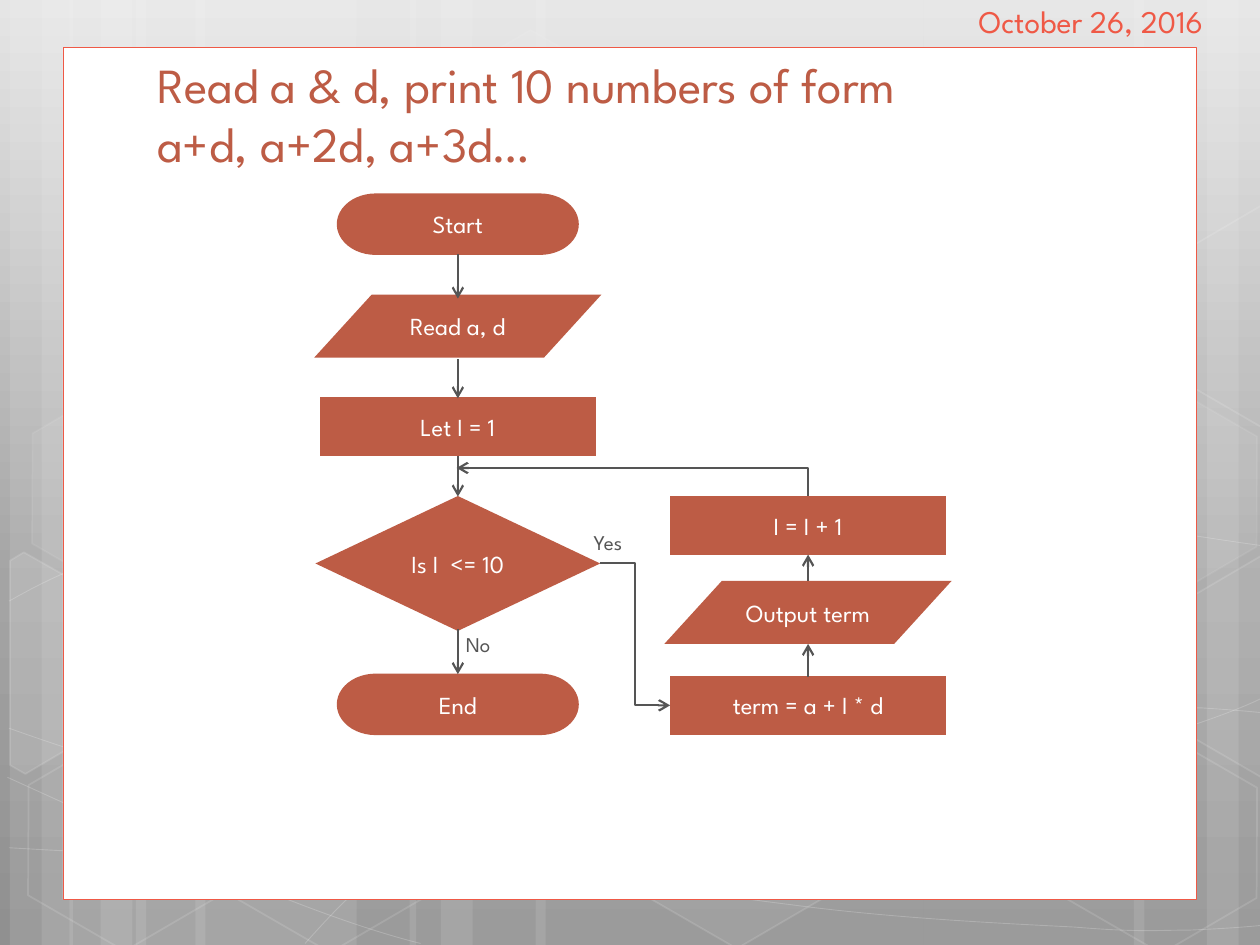
from copy import deepcopy
from dataclasses import dataclass
from math import cos, radians, sin

from lxml.etree import SubElement
from pptx import Presentation
from pptx.dml.color import RGBColor
from pptx.enum.shapes import MSO_CONNECTOR as Link, MSO_SHAPE as Kind
from pptx.enum.text import MSO_ANCHOR, PP_ALIGN
from pptx.oxml.ns import qn
from pptx.util import Cm, Pt

FONT = "League Spartan"
COLOR = {"white": "FFFFFF", "rust": "BD5C45", "red": "EF5946", "gray": "555555",
         "light": "E5E5E5", "mid": "A4A4A4", "dark": "909090"}
WIDE, HIGH = 25.4, 19.05
LEFT, RIGHT, TILT = 9.23, 16.29, 30
SIZE = {Kind.FLOWCHART_TERMINATOR: (4.88, 1.24), Kind.FLOWCHART_DECISION: (5.74, 2.72),
        Kind.FLOWCHART_DATA: (5.79, 1.27), Kind.FLOWCHART_PROCESS: (5.56, 1.19)}


@dataclass
class Node:
    text: str
    kind: Kind
    mid: float
    top: float


@dataclass
class Arrow:
    start: tuple
    end: tuple
    kind: Link = Link.STRAIGHT
    turn: int = 0


@dataclass
class Label:
    text: str
    box: tuple
    size: int
    color: str
    anchor: MSO_ANCHOR = MSO_ANCHOR.TOP


@dataclass
class Hex:
    left: float
    top: float
    fill: int
    line: int


@dataclass
class Part:
    points: list
    hub: tuple
    fill: int


BANDS = [(2.74, 4.45), (0.2, 1.27), (0.84, 2.11), (3.94, 4.45), (1.4, 1.27), (2.03, 2.11),
         (18.62, 4.45), (24.33, 1.27), (22.86, 2.11), (10.8, 7.82), (8.26, 1.27), (8.89, 2.11)]
CURVES = [
    [(0.18, 17.09), (1.55, 17.17), (2.92, 17.25), (4.83, 17.22), (6.73, 17.2), (9.09, 17.15),
     (11.63, 16.89), (14.17, 16.64), (17.78, 16.15), (20.12, 15.67), (22.43, 15.19),
     (24.82, 14.43), (25.58, 14)],
    [(0.18, 12.12), (0.91, 11.71), (1.65, 11.33), (3.07, 10.95), (4.52, 10.52), (6.58, 10.01),
     (8.81, 9.83), (11.07, 9.65), (13.82, 9.63), (16.61, 9.83), (19.41, 10.03),
     (24.05, 10.82), (25.58, 11.02)],
    [(0.15, 15.67), (3.23, 17.07), (6.27, 18.47), (8.48, 19.02)],
    [(0.18, 14.68), (0.97, 14.96), (1.78, 15.24), (3.25, 15.65), (4.72, 16.03), (6.93, 16.66),
     (9.07, 17.09), (11.18, 17.53), (13.84, 17.98), (15.95, 18.24), (18.06, 18.52),
     (20.32, 18.62), (21.67, 18.69), (22.99, 18.8), (23.34, 18.75), (24, 18.75),
     (24.66, 18.72), (25.12, 18.69), (25.58, 18.64)],
    [(6.15, 19.02), (6.6, 18.52), (7.06, 18.01), (7.67, 17.55), (8.28, 17.09), (9.14, 16.59),
     (9.86, 16.23), (10.57, 15.88), (11, 15.72), (11.94, 15.47), (12.88, 15.22),
     (14.55, 14.86), (15.44, 14.68), (16.36, 14.5), (16.48, 14.5), (17.27, 14.45),
     (18.06, 14.38), (19.3, 14.3), (20.17, 14.27), (21.06, 14.25), (22.5, 14.27),
     (22.5, 14.27), (23, 14.27), (23.6, 14.27), (24.21, 14.27), (24.66, 14.3),
     (25.1, 14.33), (25.55, 14.38)],
]
HEXES = [Hex(8.48, 0.91, 4, 8), Hex(12.62, 14.96, 6, 12), Hex(0.28, 15.01, 0, 12),
         Hex(0.36, 7.92, 7, 8), Hex(4.42, 15.04, 0, 12), Hex(21.18, 15.06, 0, 12),
         Hex(21.18, 7.98, 7, 8)]
WEST = [(0.2, 11.3), (0.48, 11.13), (2.44, 12.24), (2.41, 14.48), (0.51, 15.6), (0.2, 15.42)]
EAST = [(23.52, 12.32), (25.43, 11.2), (25.63, 11.33), (25.63, 15.57), (25.45, 15.67),
        (23.52, 14.55)]
RISE = 7.06
PARTS = [Part(WEST, (0.91, 13.59), 10), Part(EAST, (25.02, 13.21), 4),
         Part([(x, y - RISE) for x, y in EAST], (25.02, 13.21 - RISE), 0)]
NODES = [
    Node("Start", Kind.FLOWCHART_TERMINATOR, LEFT, 3.9),
    Node("Is I  <= 10", Kind.FLOWCHART_DECISION, LEFT, 10),
    Node("Read a, d", Kind.FLOWCHART_DATA, LEFT, 5.94),
    Node("Let I = 1", Kind.FLOWCHART_PROCESS, LEFT, 8.01),
    Node("term = a + I * d", Kind.FLOWCHART_PROCESS, RIGHT, 13.62),
    Node("End", Kind.FLOWCHART_TERMINATOR, LEFT, 13.58),
    Node("Output term", Kind.FLOWCHART_DATA, RIGHT, 11.71),
    Node("I = I + 1", Kind.FLOWCHART_PROCESS, RIGHT, 10),
]
DROPS = [(LEFT, 5.13, 6.02), (LEFT, 7.24, 8.03), (LEFT, 9.19, 10.01), (LEFT, 12.67, 13.59),
         (RIGHT, 13.64, 12.98), (RIGHT, 11.71, 11.18)]
ARROWS = [Arrow((x, top), (x, end)) for x, top, end in DROPS] + [
    Arrow((12.09, 11.35), (13.51, 14.22), Link.ELBOW),
    Arrow((12.47, 13.26), (13.03, 6.17), Link.ELBOW, 270),
]
LABELS = [
    Label("Read a & d, print 10 numbers of form \va+d, a+2d, a+3d…",
          (2.92, 2.02, 19.94, 1.57), 28, "rust", MSO_ANCHOR.BOTTOM),
    Label("October 26, 2016", (19.48, -0.08, 5.92, 0.69), 18, "red"),
    Label("Yes", (11.72, 10.55, 1.32, 0.76), 12, "gray"),
    Label("No", (9.14, 12.6, 1.32, 0.76), 12, "gray"),
]


def rgb(name: str) -> RGBColor:
    return RGBColor.from_string(COLOR[name])


def paint(fill, name: str, alpha: int = 100) -> None:
    if not alpha:
        fill.background()
        return
    fill.solid()
    fill.fore_color.rgb = rgb(name)
    if alpha < 100:
        tint = fill._xPr.find(".//" + qn("a:srgbClr"))
        SubElement(tint, qn("a:alpha"), val=str(alpha * 1000))


def style(shape, fill: int, line: int, width: float = 1, name: str = "white",
          edge: str = "white") -> None:
    shape.shadow.inherit = False
    paint(shape.fill, name, fill)
    paint(shape.line.fill, edge, line)
    if line:
        shape.line.width = Pt(width)


def block(slide, kind: Kind, box: tuple):
    return slide.shapes.add_shape(kind, *map(Cm, box))


def write(shape, text: str, size: int, name: str, anchor: MSO_ANCHOR, align: PP_ALIGN) -> None:
    frame = shape.text_frame
    frame.word_wrap = True
    frame.vertical_anchor = anchor
    frame.text = text
    for para in frame.paragraphs:
        para.alignment = align
        para.font.name, para.font.size = FONT, Pt(size)
        para.font.color.rgb = rgb(name)


def trace(slide, points: list, close: bool):
    first, *rest = [(Cm(x), Cm(y)) for x, y in points]
    form = slide.shapes.build_freeform(*first)
    form.add_line_segments(rest, close=close)
    return form.convert_to_shape()


def draw_curve(slide, points: list) -> None:
    shape = trace(slide, points, False)
    route = shape._element.find(".//" + qn("a:path"))
    legs = route.findall(qn("a:lnTo"))
    for i in range(0, len(legs), 3):
        bend = SubElement(route, qn("a:cubicBezTo"))
        for leg in legs[i:i + 3]:
            bend.append(leg[0])
            route.remove(leg)
    style(shape, 0, 20, 0.5)


def draw_part(slide, part: Part) -> None:
    a, b = part.hub
    c, s = cos(radians(TILT)), sin(radians(TILT))
    points = [(a + (x - a) * c + (y - b) * s, b + (y - b) * c - (x - a) * s)
              for x, y in part.points]
    shape = trace(slide, points, True)
    shape.rotation = TILT
    style(shape, part.fill, 12)


def draw_hex(slide, item: Hex) -> None:
    shape = block(slide, Kind.HEXAGON, (item.left, item.top, 4.45, 3.86))
    shape.adjustments[0] = 0.285
    shape.rotation = TILT
    style(shape, item.fill, item.line)


def draw_node(slide, node: Node) -> None:
    width, height = SIZE[node.kind]
    shape = block(slide, node.kind, (node.mid - width / 2, node.top, width, height))
    style(shape, 100, 0, name="rust")
    write(shape, node.text, 14, "white", MSO_ANCHOR.MIDDLE, PP_ALIGN.CENTER)


def draw_arrow(slide, arrow: Arrow) -> None:
    link = slide.shapes.add_connector(arrow.kind, *map(Cm, arrow.start + arrow.end))
    link.line.width = Pt(1.25)
    paint(link.line.fill, "gray")
    prop = link._element.spPr
    SubElement(prop.find(qn("a:ln")), qn("a:tailEnd"), type="arrow")
    SubElement(prop, qn("a:effectLst"))
    if arrow.turn:
        prop.find(qn("a:xfrm")).set("rot", str(arrow.turn * 60000))
        prop.find(qn("a:prstGeom")).set("prst", "bentConnector2")


def draw_label(slide, label: Label) -> None:
    box = slide.shapes.add_textbox(*map(Cm, label.box))
    write(box, label.text, label.size, label.color, label.anchor, PP_ALIGN.LEFT)


def draw_all(slide) -> None:
    fill = slide.background.fill
    fill.gradient()
    fill.gradient_angle = 270
    stops = slide._element.find(".//" + qn("a:gsLst"))
    stops.insert(1, deepcopy(stops[0]))
    for stop, name, place in zip(fill.gradient_stops, ("light", "mid", "dark"), (0, 0.62, 1)):
        stop.color.rgb = rgb(name)
        stop.position = place
    for left, width in BANDS:
        style(block(slide, Kind.RECTANGLE, (left, 0, width, HIGH)), 10, 0)
    for draw, items in ((draw_curve, CURVES), (draw_hex, HEXES), (draw_part, PARTS)):
        for item in items:
            draw(slide, item)
    panel = block(slide, Kind.RECTANGLE, (1.27, 0.95, 22.86, 17.18))
    style(panel, 100, 100, 0.5, "white", "red")
    for draw, items in ((draw_node, NODES), (draw_arrow, ARROWS), (draw_label, LABELS)):
        for item in items:
            draw(slide, item)


def main() -> None:
    deck = Presentation()
    deck.slide_width, deck.slide_height = Cm(WIDE), Cm(HIGH)
    slide = deck.slides.add_slide(deck.slide_layouts[6])
    draw_all(slide)
    deck.save("out.pptx")


if __name__ == "__main__":
    main()
